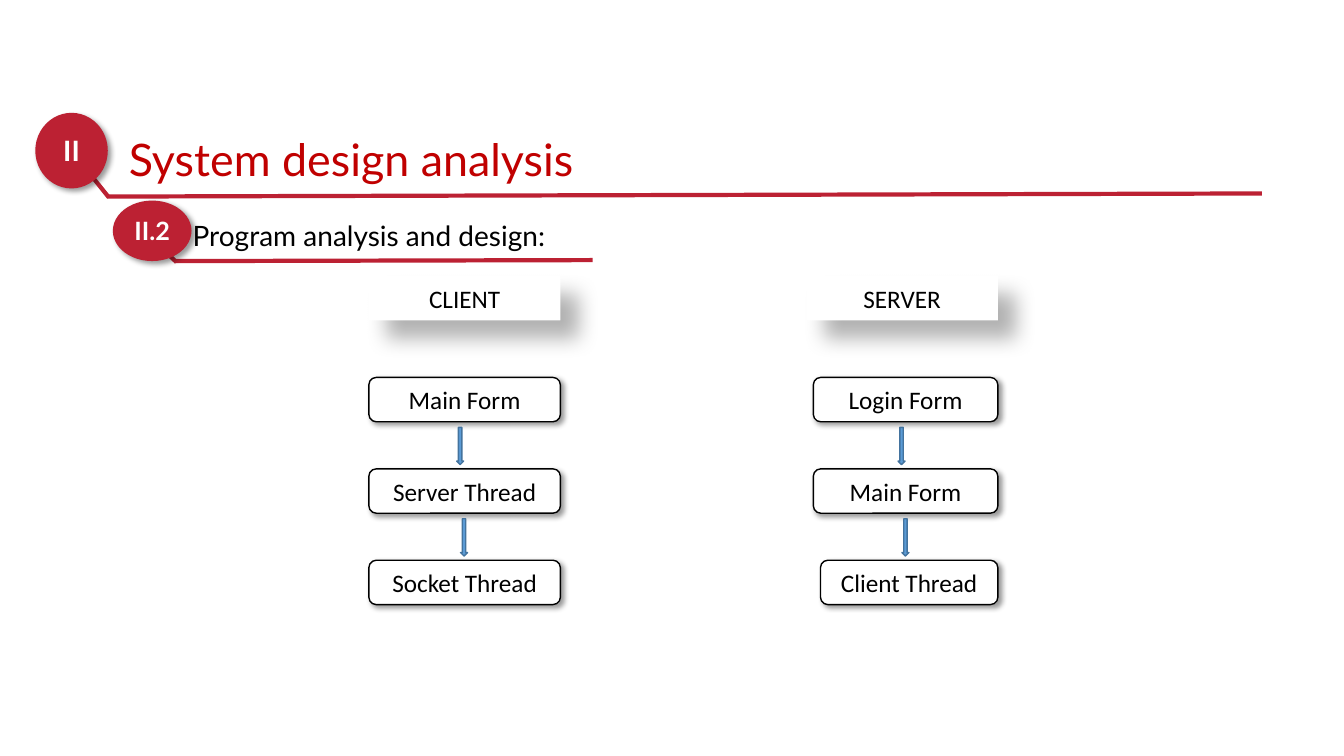
import pptx
import pptx.util
import pptx.dml.color
import pptx.enum.shapes
import pptx.enum.text
import pptx.oxml
import pptx.oxml.ns

Pt = pptx.util.Pt
SHAPE = pptx.enum.shapes.MSO_SHAPE
COLORS = {
    "red": "BC2133",
    "title": "C00000",
    "black": "000000",
    "white": "FFFFFF",
    "arrow": "5B9BD5",
    "arrow_edge": "43739E",
}
# Opacity in percent, blur and distance in points
SOFT_SHADOW = (40, 4, 3)
DEEP_SHADOW = (30, 15, 18)


def rgb(color):
    return pptx.dml.color.RGBColor.from_string(COLORS[color])


class Diagram:
    heading_font = "Lato"
    body_font = "Calibri"

    def __init__(self, slide):
        self.slide = slide

    def set_text(self, frame, text, size, color, font, bold=False):
        frame.word_wrap = True
        paragraph = frame.paragraphs[0]
        paragraph.text = text
        paragraph.alignment = pptx.enum.text.PP_ALIGN.CENTER
        paragraph.font.name = font
        paragraph.font.size = Pt(size)
        paragraph.font.bold = bold
        paragraph.font.color.rgb = rgb(color)

    def heading(self, text, left, top, width, height, size, color):
        box = self.slide.shapes.add_textbox(Pt(left), Pt(top), Pt(width), Pt(height))
        self.set_text(box.text_frame, text, size, color, self.heading_font)

    def rule(self, x1, y1, x2, y2):
        line = self.slide.shapes.add_connector(
            pptx.enum.shapes.MSO_CONNECTOR.STRAIGHT, Pt(x1), Pt(y1), Pt(x2), Pt(y2))
        line.line.color.rgb = rgb("red")
        line.line.width = Pt(3)
        line._element.spPr.append(pptx.oxml.parse_xml(
            f'<a:effectLst {pptx.oxml.ns.nsdecls("a")}/>'))

    def shape(self, kind, left, top, width, height, fill, edge=None, shadow=None):
        shape = self.slide.shapes.add_shape(kind, Pt(left), Pt(top), Pt(width), Pt(height))
        shape.fill.solid()
        shape.fill.fore_color.rgb = rgb(fill)
        if edge:
            shape.line.color.rgb = rgb(edge)
            shape.line.width = Pt(1)
        else:
            shape.line.fill.background()
        shape.shadow.inherit = False
        if shadow:
            self.cast_shadow(shape, *shadow)
        return shape

    def cast_shadow(self, shape, opacity, blur, distance):
        """Add a black shadow falling to the lower right."""
        effects = shape._element.spPr.find(pptx.oxml.ns.qn("a:effectLst"))
        effects.append(pptx.oxml.parse_xml(
            f'<a:outerShdw {pptx.oxml.ns.nsdecls("a")} blurRad="{Pt(blur)}" '
            f'dist="{Pt(distance)}" dir="2700000" algn="tl" rotWithShape="0">'
            f'<a:srgbClr val="{COLORS["black"]}"><a:alpha val="{opacity * 1000}"/>'
            '</a:srgbClr></a:outerShdw>'))

    def badge(self, text, left, top, width, height, size):
        badge = self.shape(SHAPE.OVAL, left, top, width, height, "red", shadow=SOFT_SHADOW)
        self.set_text(badge.text_frame, text, size, "white", self.heading_font, bold=True)

    def box(self, text, left, top, width):
        box = self.shape(SHAPE.ROUNDED_RECTANGLE, left, top, width, 31.7,
                         "white", "black", SOFT_SHADOW)
        self.set_text(box.text_frame, text, 18, "black", self.body_font)

    def column_header(self, text, left, top, width):
        header = self.shape(SHAPE.RECTANGLE, left, top, width, 31.7,
                            "white", shadow=DEEP_SHADOW)
        self.set_text(header.text_frame, text, 18, "black", self.body_font)

    def arrow(self, left, top):
        self.shape(SHAPE.DOWN_ARROW, left, top, 5, 26.6, "arrow", "arrow_edge")


def main():
    deck = pptx.Presentation()
    deck.slide_width, deck.slide_height = Pt(960), Pt(540)
    diagram = Diagram(deck.slides.add_slide(deck.slide_layouts[6]))

    diagram.heading("System design analysis", 48.2, 90.7, 405.4, 46, 32, "title")
    diagram.rule(51.8, 108.7, 77.8, 141.1)
    diagram.rule(77, 140.4, 901.4, 138.2)
    diagram.badge("II", 25.2, 80.6, 51.8, 54, 20)

    diagram.rule(104.4, 167, 126, 187.2)
    diagram.rule(124.6, 186.5, 423.4, 185.8)
    diagram.badge("II.2", 80.6, 143.3, 56.2, 43.2, 18)
    diagram.heading("Program analysis and design:", 34.6, 152.2, 457.9, 31.4, 20, "black")

    # Header, right edge, first arrow's left, then each box with its width
    columns = [
        ("CLIENT", 400.3, 326.2,
         [("Main Form", 136.8), ("Server Thread", 136.8), ("Socket Thread", 136.8)]),
        ("SERVER", 712.8, 641.5,
         [("Login Form", 131.8), ("Main Form", 131.8), ("Client Thread", 126.7)]),
    ]
    header_width, row_top, row_pitch, arrow_drop, arrow_shift = 136.8, 269.6, 65.3, 35.7, 2.8
    for header, right, arrow_left, boxes in columns:
        diagram.column_header(header, right - header_width, 197.3, header_width)
        for row, (name, width) in enumerate(boxes):
            top = row_top + row * row_pitch
            diagram.box(name, right - width, top, width)
            if row < len(boxes) - 1:
                diagram.arrow(arrow_left + row * arrow_shift, top + arrow_drop)

    deck.save("out.pptx")


if __name__ == "__main__":
    main()
